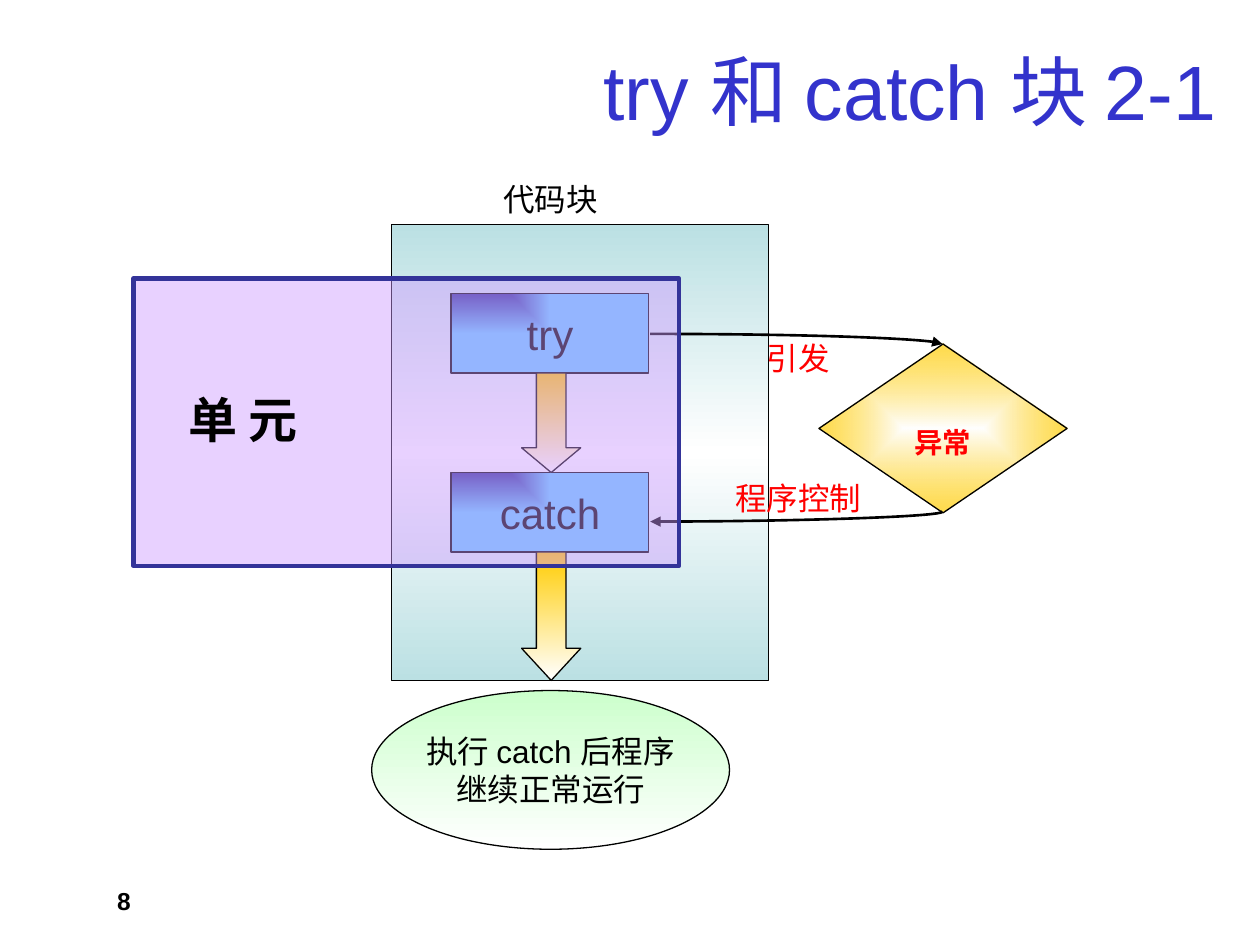
from lxml import etree
from pptx import Presentation
from pptx.dml.color import RGBColor
from pptx.enum.shapes import MSO_CONNECTOR, MSO_SHAPE
from pptx.enum.text import MSO_ANCHOR, PP_ALIGN
from pptx.oxml import parse_xml
from pptx.oxml.ns import nsdecls, qn
from pptx.util import Pt

PROCESS = MSO_SHAPE.FLOWCHART_PROCESS
DECISION = MSO_SHAPE.FLOWCHART_DECISION
DOWN_ARROW = MSO_SHAPE.DOWN_ARROW
OVAL = MSO_SHAPE.OVAL
RECTANGLE = MSO_SHAPE.RECTANGLE
CURVE = MSO_CONNECTOR.CURVE
TOP, MIDDLE = MSO_ANCHOR.TOP, MSO_ANCHOR.MIDDLE
LEFT, CENTER, RIGHT = PP_ALIGN.LEFT, PP_ALIGN.CENTER, PP_ALIGN.RIGHT

COLORS = {
    "black": "000000", "white": "FFFFFF", "red": "FF0000",
    "title": "3333CC", "navy": "333399", "sky": "66CCFF",
    "teal": "BBE0E3", "gold": "FFCC00", "mint": "CCFFCC", "violet": "CC99FF",
}
RGB = {name: RGBColor.from_string(value) for name, value in COLORS.items()}
DOWN = '<a:lin ang="5400000" scaled="1"/>'
CORNER = '<a:path path="rect"><a:fillToRect r="100000" b="100000"/></a:path>'
MIDPOINT = ('<a:path path="shape">'
            '<a:fillToRect l="50000" t="50000" r="50000" b="50000"/></a:path>')


def add_gradient_shape(kind, box, stops, direction):
    sp = s.shapes.add_shape(kind, *map(Pt, box))
    sp.shadow.inherit = False
    sp.line.color.rgb = RGB["black"]
    sp.line.width = Pt(0.75)
    sp.fill.background()
    gs = "".join(
        f'<a:gs pos="{pos * 1000}"><a:srgbClr val="{COLORS[color]}">'
        f'<a:alpha val="{alpha * 1000}"/></a:srgbClr></a:gs>'
        for pos, color, alpha in stops)
    grad = parse_xml(f'<a:gradFill {nsdecls("a")} rotWithShape="1">'
                     f'<a:gsLst>{gs}</a:gsLst>{direction}</a:gradFill>')
    spPr = sp._element.spPr
    spPr.replace(spPr.find(qn("a:noFill")), grad)
    return sp


def set_text(sp, lines, size, color, align=CENTER, anchor=MIDDLE, bold=False, wrap=False):
    tf = sp.text_frame
    tf.word_wrap = wrap
    tf.vertical_anchor = anchor
    tf.text = lines
    for p in tf.paragraphs:
        p.alignment = align
        p.font.name = "Arial"
        p.font.size = Pt(size)
        p.font.bold = bold
        p.font.color.rgb = RGB[color]
    return tf


prs = Presentation()
prs.slide_width, prs.slide_height = Pt(720), Pt(540)
s = prs.slides.add_slide(prs.slide_layouts[6])

add_gradient_shape(PROCESS, (223.9, 128.2, 215.3, 260.6),
                   [(0, "teal", 100), (50, "white", 100), (100, "teal", 100)], DOWN)

for name, top in (("try", 167.8), ("catch", 270)):
    sp = add_gradient_shape(PROCESS, (257.8, top, 113, 45.4),
                            [(0, "navy", 100), (100, "sky", 100)], CORNER)
    set_text(sp, name, 24, "black")

sp = add_gradient_shape(DECISION, (468, 196.6, 141.8, 96.5),
                        [(0, "white", 100), (100, "gold", 70)], MIDPOINT)
tf = set_text(sp, "异常", 28, "red", anchor=TOP, bold=True)
tf.paragraphs[0].runs[0].font._element.set("baseline", "-25000")

for top, height, head in ((213.1, 56.9, 0.417), (315.4, 73.4, 0.542)):
    sp = add_gradient_shape(DOWN_ARROW, (298.1, top, 33.8, height),
                            [(0, "gold", 100), (100, "white", 100)], DOWN)
    sp.adjustments[0] = 0.5
    sp.adjustments[1] = head

sp = add_gradient_shape(OVAL, (212.4, 394.6, 204.5, 90.7),
                        [(0, "mint", 100), (100, "white", 100)], DOWN)
set_text(sp, "执行 catch 后程序\n继续正常运行", 18, "black")

for ends, turn in (((452.2, 211.7, 457.9, 378.7), 90),
                   ((371.5, 190.8, 538.6, 196.6), 0)):
    cx = s.shapes.add_connector(CURVE, *map(Pt, ends))
    cx.line.color.rgb = RGB["black"]
    cx.line.width = Pt(1.5)
    spPr = cx._element.spPr
    spPr.find(qn("a:prstGeom")).set("prst", "curvedConnector2")
    spPr.find(qn("a:xfrm")).set("rot", str(turn * 60000))
    etree.SubElement(spPr.find(qn("a:ln")), qn("a:tailEnd"), type="triangle")
    etree.SubElement(spPr, qn("a:effectLst"))

for label, top in (("程序控制", 270), ("引发", 190.1)):
    sp = s.shapes.add_textbox(Pt(382.3), Pt(top), Pt(147.6), Pt(28.8))
    tf = set_text(sp, label, 18, "red", anchor=TOP, wrap=True)
    tf.margin_left = tf.margin_right = 0

unit = s.shapes.add_shape(RECTANGLE, Pt(76.3), Pt(159.1), Pt(311.8), Pt(164.2))
unit.shadow.inherit = False
unit.fill.solid()
unit.fill.fore_color.rgb = RGB["violet"]
unit_color = unit._element.spPr.find(qn("a:solidFill")).find(qn("a:srgbClr"))
etree.SubElement(unit_color, qn("a:alpha"), val="45000")
unit.line.color.rgb = RGB["navy"]
unit.line.width = Pt(2.5)

for text, box, size, color, align, anchor, bold in (
    ("try 和 catch 块 2-1", (54, 20.2, 648, 62.6), 44, "title", RIGHT, MIDDLE, False),
    ("代码块", (223.9, 99.4, 181.4, 28.8), 18, "black", CENTER, TOP, False),
    ("单 元", (93.6, 218.9, 90.7, 41), 28, "black", CENTER, TOP, True),
    ("8", (59.8, 502.6, 167.8, 17.3), 14, "black", LEFT, TOP, True),
):
    sp = s.shapes.add_textbox(*map(Pt, box))
    set_text(sp, text, size, color, align, anchor, bold, True)

prs.save("out.pptx")
